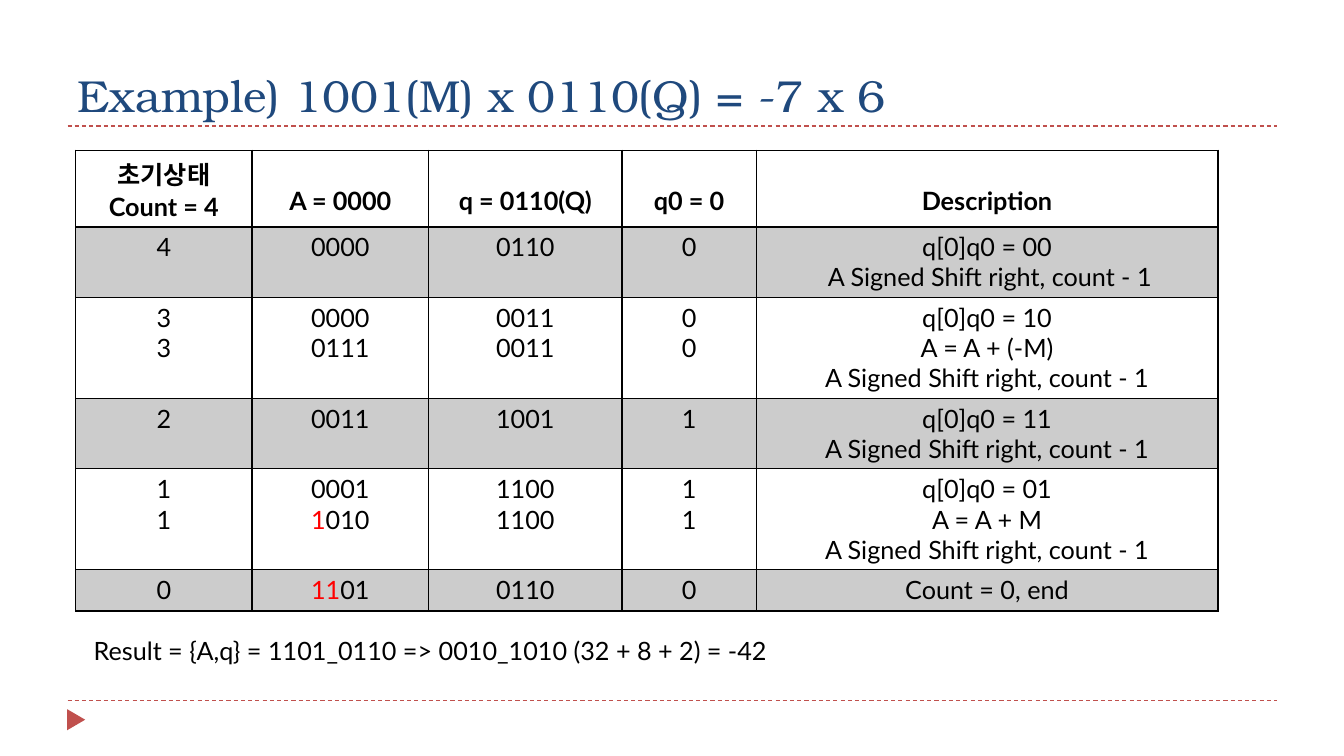
from lxml import etree
from pptx import Presentation
from pptx import util as u
from pptx.dml.color import RGBColor
from pptx.enum import dml, shapes, text
from pptx.oxml.ns import qn

theme = {
    "ink": "000000", "title": "1F497D", "rule": "C0504D", "red": "FF0000",
    "band": "CCCCCC", "plain": "FFFFFF",
    "head": "TeX Gyre Bonum", "body": "Lato", "big": 32, "size": 18,
}


def write(para, words, font="body", size="size", color="ink", bold=False):
    run = para.add_run()
    run.text = words
    run.font.name = theme[font]
    run.font.size = u.Pt(theme[size])
    run.font.bold = bold
    run.font.color.rgb = RGBColor.from_string(theme[color])


def border(cell, side, width):
    line = etree.SubElement(cell._tc.get_or_add_tcPr(), qn("a:" + side), w=str(u.Pt(width)))
    fill = etree.SubElement(line, qn("a:solidFill"))
    etree.SubElement(fill, qn("a:srgbClr"), val=theme["ink"])


deck = Presentation()
deck.slide_width, deck.slide_height = u.Inches(13.33), u.Inches(7.5)
slide = deck.slides.add_slide(deck.slide_layouts[6])
rule = RGBColor.from_string(theme["rule"])

for y in (6.95, 1.25):
    line = slide.shapes.add_connector(
        shapes.MSO_CONNECTOR.STRAIGHT, u.Inches(0.67), u.Inches(y), u.Inches(12.67), u.Inches(y))
    line.line.color.rgb = rule
    line.line.width = u.Pt(0.75)
    line.line.dash_style = dml.MSO_LINE.DASH
    etree.SubElement(line._element.spPr, qn("a:effectLst"))

mark = slide.shapes.add_shape(
    shapes.MSO_SHAPE.ISOSCELES_TRIANGLE, u.Inches(0.65), u.Inches(7.05), u.Inches(0.21), u.Inches(0.18))
mark.rotation = 90
mark.shadow.inherit = False
mark.fill.solid()
mark.fill.fore_color.rgb = rule
mark.line.fill.background()

labels = [
    (0.67, 0.17, 12, 1.08, "Example) 1001(M) x 0110(Q) = -7 x 6",
     "head", "big", "title", text.MSO_ANCHOR.BOTTOM),
    (0.83, 6.25, 11.58, 0.4, "Result = {A,q} = 1101_0110 => 0010_1010 (32 + 8 + 2) = -42",
     "body", "size", "ink", text.MSO_ANCHOR.TOP),
]
for x, y, wide, high, words, font, size, color, anchor in labels:
    frame = slide.shapes.add_textbox(u.Inches(x), u.Inches(y), u.Inches(wide), u.Inches(high)).text_frame
    frame.word_wrap = True
    frame.vertical_anchor = anchor
    write(frame.paragraphs[0], words, font, size, color)

shift = "A Signed Shift right, count - 1"
rows = [
    ["초기상태\nCount = 4", "A = 0000", "q = 0110(Q)", "q0 = 0", "Description"],
    ["4", "0000", "0110", "0", "q[0]q0 = 00\n " + shift],
    ["3\n3", "0000\n0111", "0011\n0011", "0\n0", "q[0]q0 = 10\nA = A + (-M)\n" + shift],
    ["2", "0011", "1001", "1", "q[0]q0 = 11\n" + shift],
    ["1\n1", "0001\n1|010", "1100\n1100", "1\n1", "q[0]q0 = 01\nA = A + M\n" + shift],
    ["0", "11|01", "0110", "0", "Count = 0, end"],
]
wides = [1.75, 1.75, 1.92, 1.33, 4.58]
highs = [0.76, 0.7, 1, 0.7, 1, 0.41]
grid = slide.shapes.add_table(
    len(rows), len(wides), u.Inches(0.75), u.Inches(1.49),
    u.Inches(sum(wides)), u.Inches(sum(highs))).table
for col, wide in zip(grid.columns, wides):
    col.width = u.Inches(wide)
for r, (row, high) in enumerate(zip(rows, highs)):
    grid.rows[r].height = u.Inches(high)
    for c, words in enumerate(row):
        cell = grid.cell(r, c)
        for side in ("lnL", "lnR", "lnT", "lnB"):
            thick = (r, side) in ((0, "lnB"), (1, "lnT"))
            border(cell, side, 2 if thick else 1)
        cell.fill.solid()
        cell.fill.fore_color.rgb = RGBColor.from_string(theme["band" if r % 2 else "plain"])
        if r == 0 and c:
            cell.margin_top = u.Inches(0.35)
        for n, part in enumerate(words.split("\n")):
            frame = cell.text_frame
            para = frame.add_paragraph() if n else frame.paragraphs[0]
            para.alignment = text.PP_ALIGN.CENTER
            red, bar, rest = part.rpartition("|")
            if bar:
                write(para, red, color="red")
            write(para, rest, bold=r == 0)

deck.save("out.pptx")
